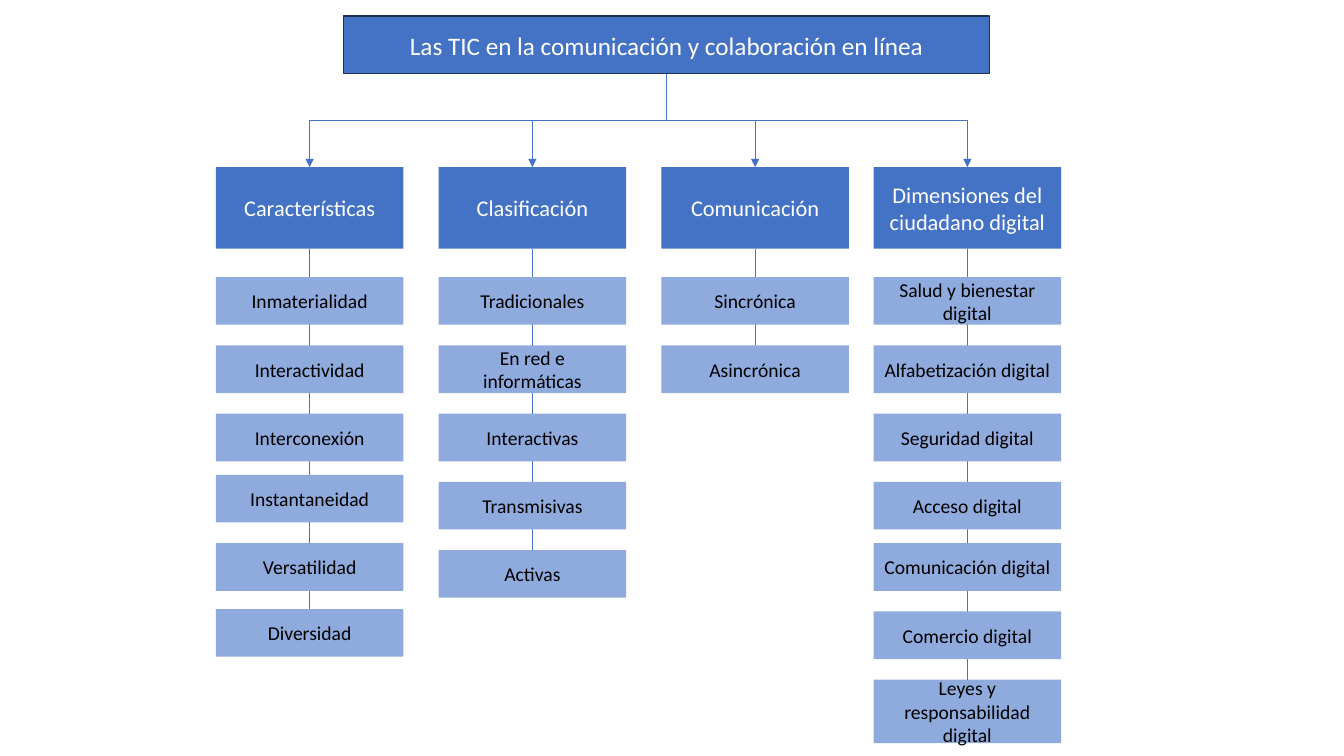
from pptx import Presentation
from pptx.dml.color import RGBColor
from pptx.enum.shapes import MSO_CONNECTOR, MSO_SHAPE
from pptx.enum.text import MSO_ANCHOR, PP_ALIGN
from pptx.oxml import parse_xml
from pptx.oxml.ns import nsdecls, qn
from pptx.util import Pt

BLUE, LIGHT_BLUE, NAVY = "4472C4", "8FAADC", "1E3256"
WHITE, BLACK = "FFFFFF", "000000"
TOP, BOTTOM = 0, 2

BRANCH_WIDTH, BRANCH_TOP = 134, 119.4
HEADER_HEIGHT, ITEM_HEIGHT = 58.3, 34
FIRST_ITEM, ITEM_STEP = 78.6, 48.75  # first offset is from the branch top

# Left edge, heading, items, and the rows that depart from the even step
# as {row: (offset from even place, height)}.
BRANCHES = [
    (154.2, "Características",
     ["Inmaterialidad", "Interactividad", "Interconexión",
      "Instantaneidad", "Versatilidad", "Diversidad"],
     {3: (-5, ITEM_HEIGHT), 4: (-5, ITEM_HEIGHT), 5: (-6.75, ITEM_HEIGHT)}),
    (313.3, "Clasificación",
     ["Tradicionales", "En red e informáticas", "Interactivas",
      "Transmisivas", "Activas"], {}),
    (472.4, "Comunicación", ["Sincrónica", "Asincrónica"], {}),
    (624, "Dimensiones del ciudadano digital",
     ["Salud y bienestar digital", "Alfabetización digital",
      "Seguridad digital", "Acceso digital", "Comunicación digital",
      "Comercio digital", "Leyes y responsabilidad digital"],
     {4: (-5, ITEM_HEIGHT), 5: (-5, ITEM_HEIGHT), 6: (-5, 45.4)}),
]


def color(hex_string):
    return RGBColor.from_string(hex_string)


def add_box(slide, left, top, width, height, text, size, fill, ink, outline=None):
    shape = slide.shapes.add_shape(
        MSO_SHAPE.RECTANGLE, Pt(left), Pt(top), Pt(width), Pt(height))
    shape.shadow.inherit = False
    shape.fill.solid()
    shape.fill.fore_color.rgb = color(fill)
    if outline:
        shape.line.color.rgb = color(outline)
        shape.line.width = Pt(1)
    else:
        shape.line.fill.background()
    frame = shape.text_frame
    frame.word_wrap = True
    frame.vertical_anchor = MSO_ANCHOR.MIDDLE
    paragraph = frame.paragraphs[0]
    paragraph.text = text
    paragraph.alignment = PP_ALIGN.CENTER
    paragraph.font.name = "Calibri"
    paragraph.font.size = Pt(size)
    paragraph.font.color.rgb = color(ink)
    return shape


def join(slide, kind, upper, lower):
    """Connect the bottom of the upper box to the top of the lower one."""
    connector = slide.shapes.add_connector(kind, 0, 0, 0, 0)
    connector.begin_connect(upper, BOTTOM)
    connector.end_connect(lower, TOP)
    connector.line.color.rgb = color(BLUE)
    connector.line.width = Pt(0.5)
    connector.element.spPr.append(parse_xml(f"<a:effectLst {nsdecls('a')}/>"))
    return connector


def add_elbow_arrow(slide, title, header):
    """Bent arrow that leaves the title downwards, so its frame is turned."""
    connector = join(slide, MSO_CONNECTOR.ELBOW, title, header)
    start_x, end_x = connector.begin_x, connector.end_x
    start_y, end_y = connector.begin_y, connector.end_y
    drop, spread = end_y - start_y, abs(end_x - start_x)
    connector.left = (start_x + end_x - drop) // 2
    connector.top = (start_y + end_y - spread) // 2
    connector.width, connector.height = drop, spread
    goes_right = end_x > start_x
    frame = connector.element.spPr.find(qn("a:xfrm"))
    frame.set("rot", str((270 if goes_right else 90) * 60000))
    frame.set("flipH", "1" if goes_right else "0")
    connector.line._get_or_add_ln().append(
        parse_xml(f'<a:tailEnd {nsdecls("a")} type="triangle"/>'))


def add_branch(slide, left, top, heading, items, exceptions):
    """Heading with its items below; returns the heading box."""
    header = add_box(slide, left, top, BRANCH_WIDTH, HEADER_HEIGHT,
                     heading, 16, BLUE, WHITE)

    def add_item(row):
        shift, height = exceptions.get(row, (0, ITEM_HEIGHT))
        item_top = top + FIRST_ITEM + row * ITEM_STEP + shift
        return add_box(slide, left, item_top, BRANCH_WIDTH, height,
                       items[row], 14, LIGHT_BLUE, BLACK)

    # The trunk runs to the last item and lies behind the ones between.
    last_row = len(items) - 1
    join(slide, MSO_CONNECTOR.STRAIGHT, header, add_item(last_row))
    for row in range(last_row):
        add_item(row)
    return header


def main():
    presentation = Presentation()
    presentation.slide_width, presentation.slide_height = Pt(960), Pt(540)
    slide = presentation.slides.add_slide(presentation.slide_layouts[6])
    title = add_box(slide, 245.4, 11.5, 461.6, 41.2,
                    "Las TIC en la comunicación y colaboración en línea",
                    18, BLUE, WHITE, NAVY)
    for left, heading, items, exceptions in BRANCHES:
        header = add_branch(slide, left, BRANCH_TOP, heading, items, exceptions)
        add_elbow_arrow(slide, title, header)
    presentation.save("out.pptx")


if __name__ == "__main__":
    main()
